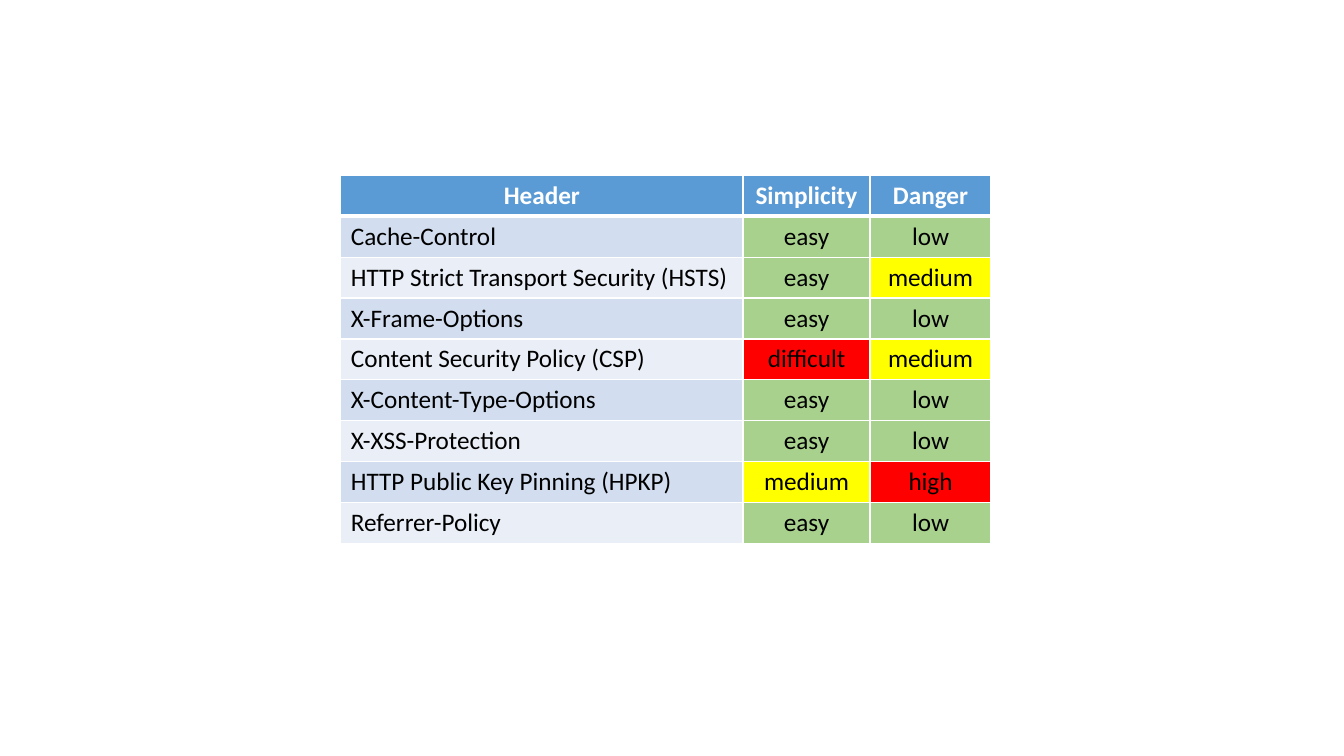
from lxml import etree
from pptx import Presentation
from pptx.dml.color import RGBColor
from pptx.enum.text import PP_ALIGN
from pptx.oxml.ns import qn
from pptx.util import Inches, Pt

LEFT, CENTER = PP_ALIGN.LEFT, PP_ALIGN.CENTER
BLANK_LAYOUT = 6
COLORS = {
    "white": "FFFFFF", "black": "000000", "heading": "5B9BD5",
    "odd": "D2DEEF", "even": "EAEFF7",
    "good": "A9D18E", "fair": "FFFF00", "bad": "FF0000",
}
RATINGS = {
    "easy": "good", "low": "good", "medium": "fair",
    "difficult": "bad", "high": "bad",
}
HEADINGS = ("Header", "Simplicity", "Danger")
SECURITY_HEADERS = (
    ("Cache-Control", "easy", "low"),
    ("HTTP Strict Transport Security (HSTS)", "easy", "medium"),
    ("X-Frame-Options", "easy", "low"),
    ("Content Security Policy (CSP)", "difficult", "medium"),
    ("X-Content-Type-Options", "easy", "low"),
    ("X-XSS-Protection", "easy", "low"),
    ("HTTP Public Key Pinning (HPKP)", "medium", "high"),
    ("Referrer-Policy", "easy", "low"),
)


class SlideBuilder:
    font = "Calibri"
    size = Pt(18)

    def __init__(self, slide):
        self.slide = slide

    def color(self, name):
        return RGBColor.from_string(COLORS[name])

    def border(self, cell, side, width):
        properties = cell._tc.get_or_add_tcPr()
        line = etree.SubElement(properties, qn(f"a:ln{side}"), w=str(Pt(width)))
        fill = etree.SubElement(line, qn("a:solidFill"))
        etree.SubElement(fill, qn("a:srgbClr"), val=COLORS["white"])

    def cell(self, cell, text, fill, ink, align, bold, top, bottom):
        for side, width in (("L", 1), ("R", 1), ("T", top), ("B", bottom)):
            self.border(cell, side, width)
        cell.fill.solid()
        cell.fill.fore_color.rgb = self.color(fill)
        paragraph = cell.text_frame.paragraphs[0]
        paragraph.alignment = align
        run = paragraph.add_run()
        run.text = text
        run.font.name = self.font
        run.font.size = self.size
        run.font.bold = bold
        run.font.color.rgb = self.color(ink)

    def table(self, left, top, column_widths, row_height, headings, entries):
        row_count = len(entries) + 1
        table = self.slide.shapes.add_table(
            row_count, len(headings), Inches(left), Inches(top),
            Inches(sum(column_widths)), Inches(row_height * row_count),
        ).table
        for column, width in zip(table.columns, column_widths):
            column.width = Inches(width)
        for row in table.rows:
            row.height = Inches(row_height)
        for c, heading in enumerate(headings):
            self.cell(table.cell(0, c), heading, "heading", "white", CENTER, True, 1, 3)
        for r, entry in enumerate(entries, 1):
            band = "odd" if r % 2 else "even"
            for c, text in enumerate(entry):
                self.cell(
                    table.cell(r, c), text, RATINGS.get(text, band), "black",
                    CENTER if c else LEFT, False, 3 if r == 1 else 1, 1,
                )


def main():
    presentation = Presentation()
    presentation.slide_width = Inches(13.33)
    presentation.slide_height = Inches(7.5)
    slide = presentation.slides.add_slide(presentation.slide_layouts[BLANK_LAYOUT])
    builder = SlideBuilder(slide)
    builder.table(3.38, 1.74, (3.99, 1.26, 1.2), 3.65 / 9, HEADINGS, SECURITY_HEADERS)
    presentation.save("out.pptx")


if __name__ == "__main__":
    main()
